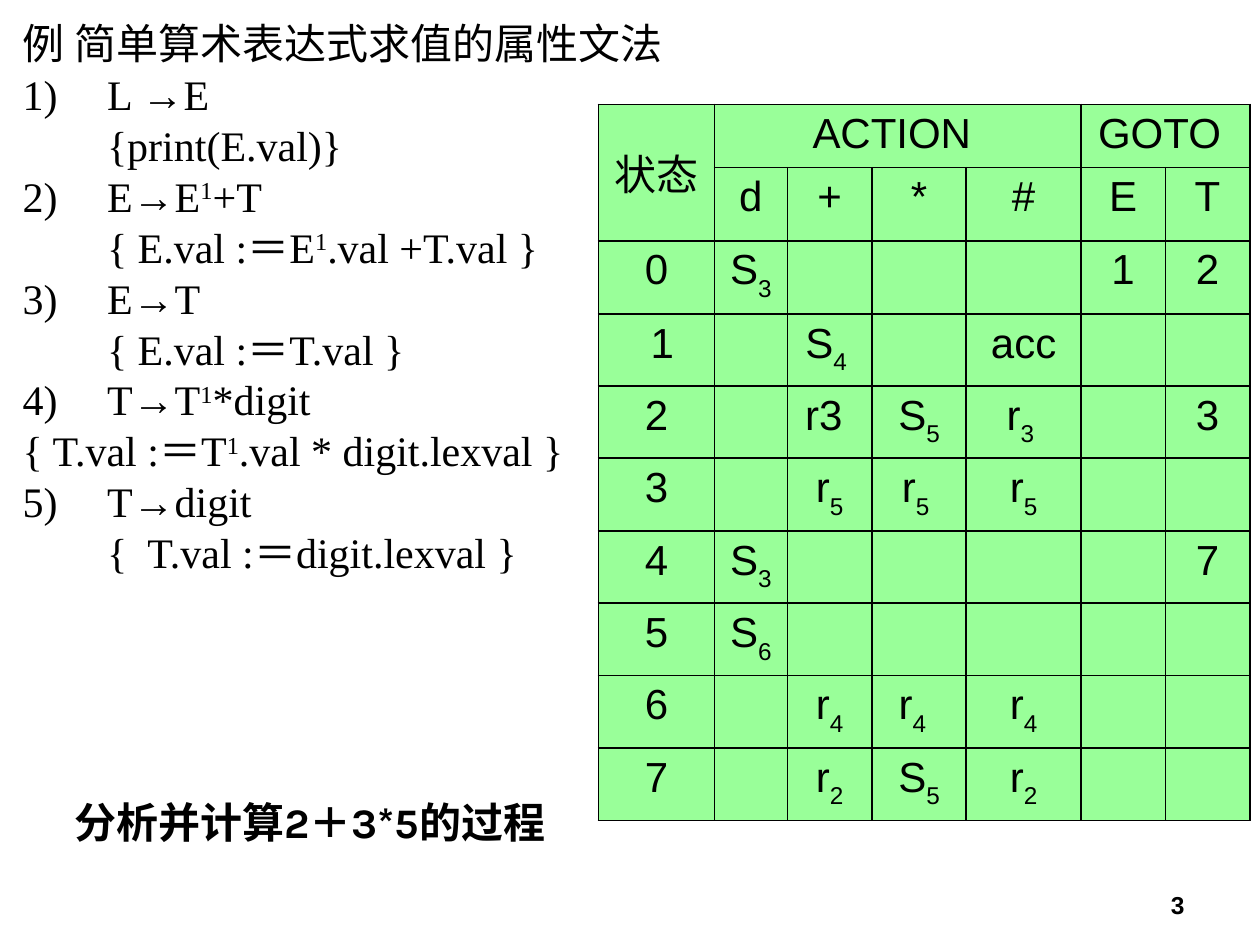
from typing import NamedTuple

from lxml.etree import SubElement
from pptx import Presentation
from pptx.dml.color import RGBColor
from pptx.enum.text import MSO_ANCHOR, MSO_AUTO_SIZE, PP_ALIGN
from pptx.oxml import parse_xml
from pptx.oxml.ns import nsdecls, qn
from pptx.util import Inches, Pt

COLORS = {"text": "000000", "cell": "99FF99", "border": "000000"}
SERIF, SANS, DISPLAY = "Times New Roman", "Arial", "Karla"


class Style(NamedTuple):
    font: str
    size: int = 24
    bold: bool = False


class Rule(NamedTuple):
    production: str
    action: str


class Span(NamedTuple):
    row: int
    column: int
    last_row: int
    last_column: int


RULES = [
    Rule("L →E", "\t{print(E.val)}"),
    Rule("E→E|1|+T", "\t{ E.val :＝E|1|.val +T.val }"),
    Rule("E→T", "\t{ E.val :＝T.val }"),
    Rule("T→T|1|*digit", "{ T.val :＝T|1|.val * digit.lexval }"),
    Rule("T→digit", "\t{  T.val :＝digit.lexval }"),
]
COLUMN_WIDTHS = [0.92, 0.58, 0.67, 0.75, 0.91, 0.67, 0.67]
ROW_HEIGHTS = [0.5, 0.58, 0.58, 0.56] + [0.575] * 6
SPANS = [Span(0, 0, 1, 0), Span(0, 1, 0, 4), Span(0, 5, 0, 6)]
PARSE_TABLE = [
    ["状态", "ACTION ", "", "", "", "GOTO ", ""],
    ["", "d", "+", "*", "#", "E", "T"],
    ["0", "S|3", "", "", "", "1", "2"],
    [" 1", "", "S|4 ", "", "acc", "", ""],
    ["2", "", "r3 ", "S|5", "r|3 ", "", "3"],
    ["3", "", "r|5", "r|5 ", "r|5", "", ""],
    ["4", "S|3", "", "", "", "", "7"],
    ["5", "S|6", "", "", "", "", ""],
    [" 6 ", "", "r|4", "r|4  ", "r|4", "", ""],
    ["7", "", "r|2", "S|5", "r|2", "", ""],
]


def add_run(paragraph, text: str, style: Style, baseline: int = 0) -> None:
    run = paragraph.add_run()
    run.text = text
    run.font.name = style.font
    run.font.size = Pt(style.size)
    run.font.bold = style.bold
    run.font.color.rgb = RGBColor.from_string(COLORS["text"])
    if baseline:
        run.font._element.set("baseline", str(baseline * 1000))


def add_shifted_text(paragraph, text: str, style: Style, baseline: int) -> None:
    for index, piece in enumerate(text.split("|")):
        add_run(paragraph, piece, style, baseline if index % 2 else 0)


def add_grammar_line(frame, text: str, number: int = 0) -> None:
    is_first = not frame.paragraphs[0].runs
    paragraph = frame.paragraphs[0] if is_first else frame.add_paragraph()
    paragraph.line_spacing = 0.8
    paragraph.space_before = Pt(6)
    properties = paragraph._p.get_or_add_pPr()
    properties.set("marL", str(Inches(0.67)))
    properties.set("indent", str(-Inches(0.67)))
    if number:
        color = SubElement(properties, qn("a:buClr"))
        SubElement(color, qn("a:srgbClr"), val=COLORS["text"])
        SubElement(properties, qn("a:buFont"), typeface=SERIF)
        SubElement(properties, qn("a:buAutoNum"), type="arabicParenR", startAt=str(number))
    else:
        SubElement(properties, qn("a:buNone"))
    add_shifted_text(paragraph, text, Style(SERIF), 30)


def fill_grammar(body) -> None:
    body.left, body.top = Inches(0.08), Inches(0.17)
    body.width, body.height = Inches(5.58), Inches(4.67)
    frame = body.text_frame
    frame.auto_size = MSO_AUTO_SIZE.NONE
    add_grammar_line(frame, "例 简单算术表达式求值的属性文法")
    for number, rule in enumerate(RULES, 1):
        add_grammar_line(frame, rule.production, number)
        add_grammar_line(frame, rule.action)


def format_cell(cell) -> None:
    cell.fill.solid()
    cell.fill.fore_color.rgb = RGBColor.from_string(COLORS["cell"])
    properties = cell._tc.get_or_add_tcPr()
    for index, side in enumerate(("lnL", "lnR", "lnT", "lnB")):
        properties.insert(index, parse_xml(
            f'<a:{side} {nsdecls("a")} w="{Pt(1.08)}"><a:solidFill>'
            f'<a:srgbClr val="{COLORS["border"]}"/></a:solidFill></a:{side}>'))


def add_parse_table(slide) -> None:
    table = slide.shapes.add_table(
        len(ROW_HEIGHTS), len(COLUMN_WIDTHS), Inches(4.75), Inches(0.83),
        Inches(sum(COLUMN_WIDTHS)), Inches(sum(ROW_HEIGHTS))).table
    table.first_row = table.horz_banding = False
    for column, width in zip(table.columns, COLUMN_WIDTHS):
        column.width = Inches(width)
    for row, height in zip(table.rows, ROW_HEIGHTS):
        row.height = Inches(height)
    for row, texts in zip(table.rows, PARSE_TABLE):
        for cell, text in zip(row.cells, texts):
            format_cell(cell)
            if text:
                paragraph = cell.text_frame.paragraphs[0]
                paragraph.alignment = PP_ALIGN.CENTER
                paragraph.space_before = Pt(6)
                add_shifted_text(paragraph, text, Style(SANS), -30)
    for span in SPANS:
        table.cell(span.row, span.column).merge(table.cell(span.last_row, span.last_column))
    table.cell(0, 0).vertical_anchor = MSO_ANCHOR.MIDDLE


def add_text_box(slide, left: float, top: float, width: float, height: float):
    return slide.shapes.add_textbox(
        Inches(left), Inches(top), Inches(width), Inches(height)).text_frame


def add_task(slide) -> None:
    frame = add_text_box(slide, 0.49, 6.27, 4.27, 0.5)
    frame.word_wrap = False
    frame.auto_size = MSO_AUTO_SIZE.SHAPE_TO_FIT_TEXT
    pieces = [("分析并计算2", DISPLAY), ("＋", SERIF), ("3*5", DISPLAY), ("的过程", SERIF)]
    for text, font in pieces:
        add_run(frame.paragraphs[0], text, Style(font, bold=True))


def add_page_number(slide) -> None:
    frame = add_text_box(slide, 7.17, 6.83, 2.33, 0.52)
    frame.word_wrap = True
    frame.vertical_anchor = MSO_ANCHOR.BOTTOM
    frame.paragraphs[0].alignment = PP_ALIGN.RIGHT
    add_run(frame.paragraphs[0], "3", Style(SANS, 14, True))


def main() -> None:
    presentation = Presentation()
    presentation.slide_width, presentation.slide_height = Inches(10), Inches(7.5)
    slide = presentation.slides.add_slide(presentation.slide_layouts[1])
    title = slide.shapes.title._element
    title.getparent().remove(title)
    add_page_number(slide)
    fill_grammar(slide.placeholders[1])
    add_parse_table(slide)
    add_task(slide)
    presentation.save("out.pptx")


if __name__ == "__main__":
    main()
